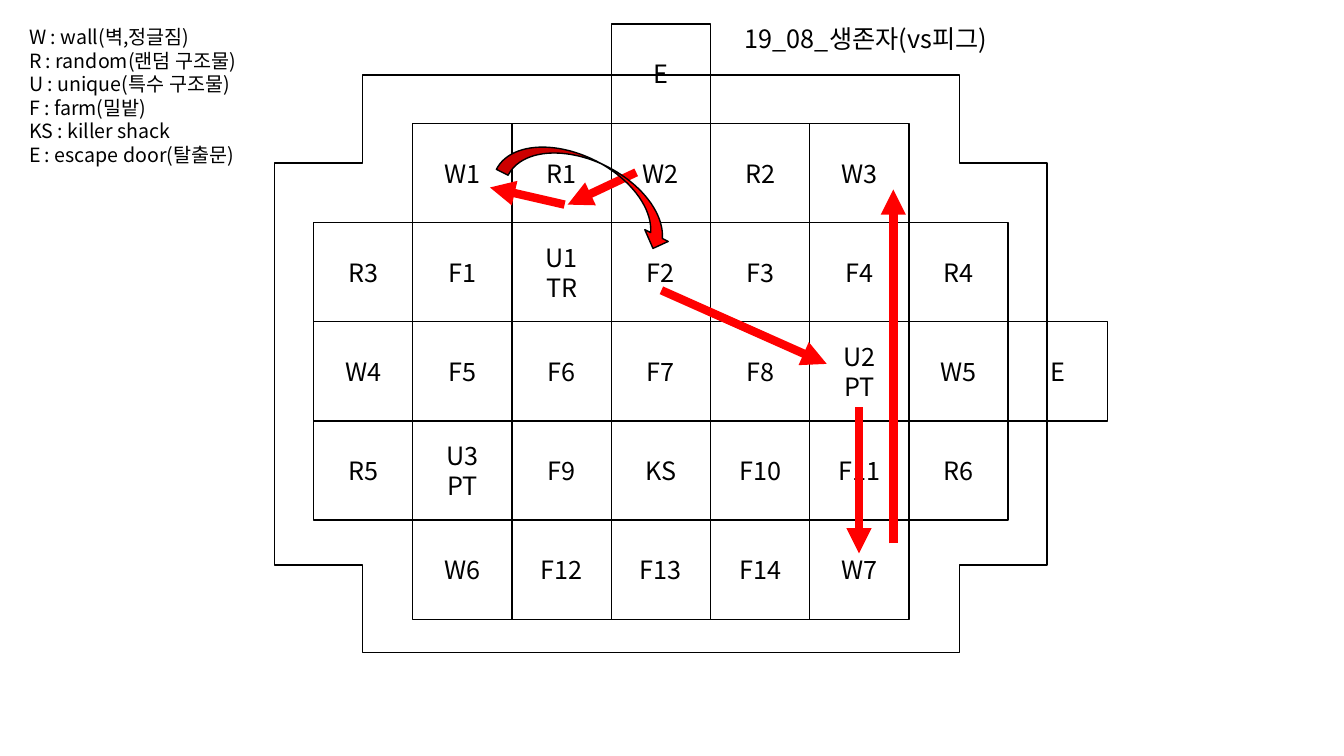
"""Builds the game map slide with its legend, grid of areas and survivor route."""
from dataclasses import dataclass

import pptx
import pptx.dml.color
import pptx.enum.shapes
import pptx.enum.text
import pptx.oxml.ns
import pptx.util
from lxml import etree
from pptx.util import Inches

Shapes = pptx.enum.shapes.MSO_SHAPE
Align = pptx.enum.text.PP_ALIGN
Anchor = pptx.enum.text.MSO_ANCHOR
qn = pptx.oxml.ns.qn


@dataclass(frozen=True)
class Theme:
    font: str = "Noto Sans CJK KR"
    ink: str = "000000"
    paper: str = "FFFFFF"
    route: str = "FF0000"
    legend_size: int = 14
    label_size: int = 18
    outline: int = 1
    route_width: int = 6


THEME = Theme()

LEGEND = [
    "W : wall(벽,정글짐)",
    "R : random(랜덤 구조물)",
    "U : unique(특수 구조물)",
    "F : farm(밀밭)",
    "KS : killer shack",
    "E : escape door(탈출문)",
]
TITLE = "19_08_생존자(vs피그)"

AREAS = [
    ["", "", "", "E", "", "", "", ""],
    ["", "W1", "R1", "W2", "R2", "W3", "", ""],
    ["R3", "F1", "U1\vTR", "F2", "F3", "F4", "R4", ""],
    ["W4", "F5", "F6", "F7", "F8", "U2\vPT", "W5", "E"],
    ["R5", "U3\vPT", "F9", "KS", "F10", "F11", "R6", ""],
    ["", "W6", "F12", "F13", "F14", "W7", "", ""],
]
FILLED_AREAS = {"W4"}
GRID_LEFT, GRID_TOP = 3.11, 0.24
AREA_SIZE = (10 - GRID_LEFT) / 7

ROUTE_BEFORE_JUMP = [((6.31, 1.71), (5.63, 2.03)), ((5.6, 2.03), (4.86, 1.86))]
ROUTE_AFTER_JUMP = [
    ((6.56, 2.88), (8.2, 3.61)),
    ((8.52, 4.04), (8.52, 5.49)),
    ((8.86, 5.39), (8.86, 1.88)),
]


def color(code):
    return pptx.dml.color.RGBColor.from_string(code)


def apply(target, values):
    for name, value in values.items():
        setattr(target, name, value)


def write(frame, lines, size, align):
    """Put one paragraph per line in the frame, in the theme font."""
    frame.text = "\n".join(lines)
    for para in frame.paragraphs:
        para.alignment = align
        for span in para.runs:
            apply(span.font, {"name": THEME.font, "size": pptx.util.Pt(size)})
            span.font.color.rgb = color(THEME.ink)
            latin = span.font._element.find(qn("a:latin"))
            latin.addnext(latin.makeelement(qn("a:ea"), {"typeface": THEME.font}))


def add_outline(page, kind, bounds, fill=None, rotation=0):
    shape = page.shapes.add_shape(kind, *map(Inches, bounds))
    shape.shadow.inherit = False
    shape.rotation = rotation
    if fill:
        shape.fill.solid()
        shape.fill.fore_color.rgb = color(fill)
    else:
        shape.fill.background()
    shape.line.color.rgb = color(THEME.ink)
    shape.line.width = pptx.util.Pt(THEME.outline)
    return shape


def add_note(page, bounds, lines, size):
    box = page.shapes.add_textbox(*map(Inches, bounds))
    apply(box.text_frame, {
        "word_wrap": True,
        "auto_size": pptx.enum.text.MSO_AUTO_SIZE.SHAPE_TO_FIT_TEXT,
    })
    write(box.text_frame, lines, size, Align.LEFT)


def add_areas(page):
    for row, labels in enumerate(AREAS):
        for column, label in enumerate(labels):
            if not label:
                continue
            bounds = (GRID_LEFT + column * AREA_SIZE, GRID_TOP + row * AREA_SIZE,
                      AREA_SIZE, AREA_SIZE)
            fill = THEME.paper if label in FILLED_AREAS else None
            area = add_outline(page, Shapes.RECTANGLE, bounds, fill)
            area.text_frame.vertical_anchor = Anchor.MIDDLE
            write(area.text_frame, [label], THEME.label_size, Align.CENTER)


def add_route(page, steps):
    for start, end in steps:
        arrow = page.shapes.add_connector(
            pptx.enum.shapes.MSO_CONNECTOR.STRAIGHT, *map(Inches, start + end))
        arrow.line.color.rgb = color(THEME.route)
        arrow.line.width = pptx.util.Pt(THEME.route_width)
        outline = arrow.line._get_or_add_ln()
        etree.SubElement(outline, qn("a:tailEnd"), type="triangle")
        etree.SubElement(arrow._element.spPr, qn("a:effectLst"))


def add_jump(page):
    jump = add_outline(page, Shapes.CURVED_UP_ARROW, (4.94, 1.61, 1.87, 0.52),
                       THEME.route, 206.8)
    jump._element.spPr.find(qn("a:xfrm")).set("flipH", "1")


def main():
    deck = pptx.Presentation()
    apply(deck, {"slide_width": Inches(13.33), "slide_height": Inches(7.5)})
    page = deck.slides.add_slide(deck.slide_layouts[6])
    border = add_outline(page, Shapes.CROSS, (3.69, -0.22, 5.73, 7.66), rotation=270)
    border.adjustments[0] = 0.152
    add_note(page, (0.19, 0.2, 2.34, 1.51), LEGEND, THEME.legend_size)
    add_areas(page)
    add_note(page, (7.29, 0.18, 3.44, 0.4), [TITLE], THEME.label_size)
    add_route(page, ROUTE_BEFORE_JUMP)
    add_jump(page)
    add_route(page, ROUTE_AFTER_JUMP)
    deck.save("out.pptx")


if __name__ == "__main__":
    main()
